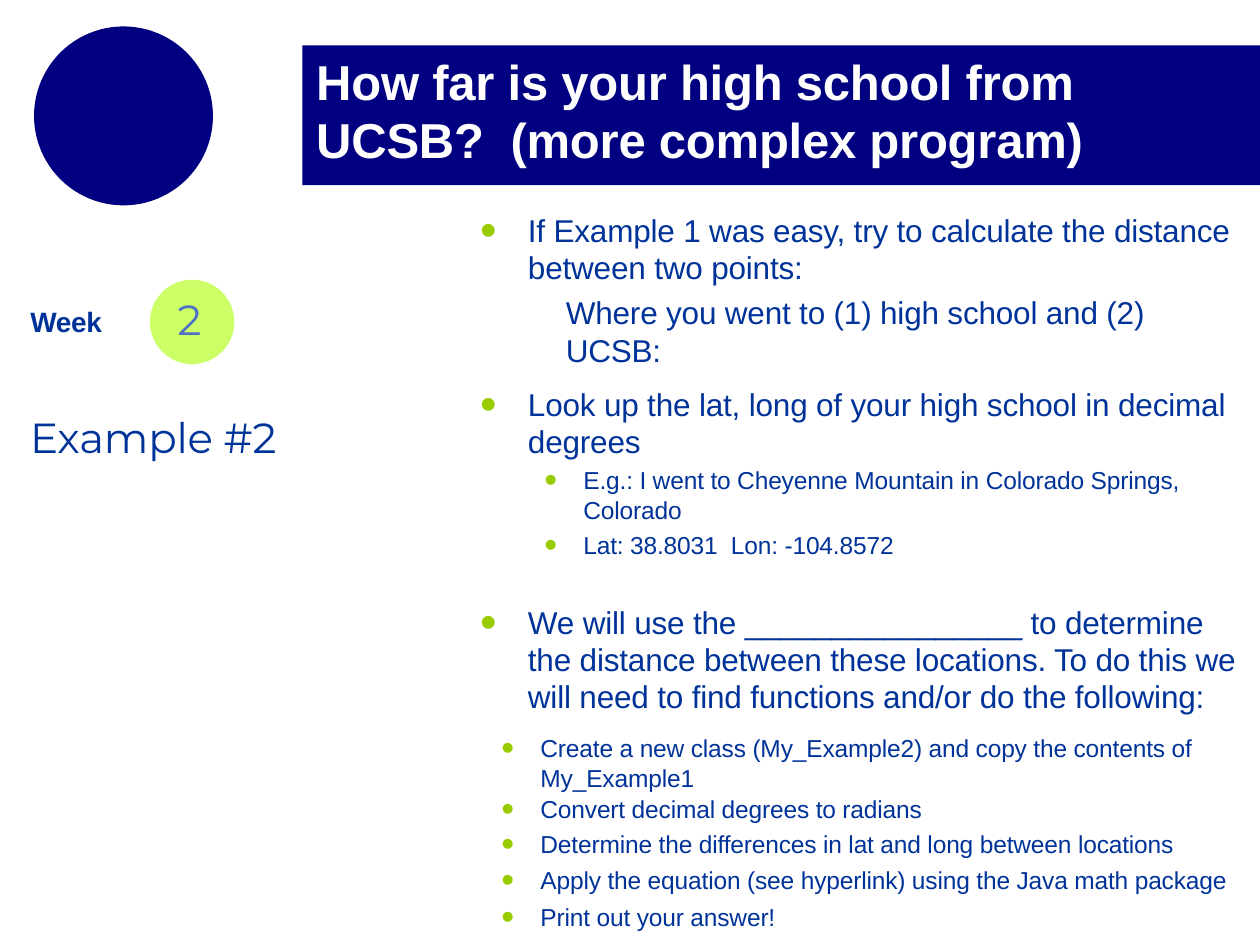
from lxml.etree import SubElement
from pptx import Presentation
from pptx.dml.color import RGBColor
from pptx.enum.shapes import MSO_SHAPE
from pptx.oxml.ns import qn
from pptx.util import Inches, Pt

COLORS = {
    "navy": "000080",
    "text": "003399",
    "lime": "CCFF66",
    "bullet": "99CC00",
    "number": "4E6EC8",
    "white": "FFFFFF",
}


class Deck:
    """Holds the style and the current slide, and draws each kind of element."""

    def __init__(self):
        self.prs = Presentation()
        self.prs.slide_width, self.prs.slide_height = Inches(10), Inches(7.5)
        self.s = self.prs.slides.add_slide(self.prs.slide_layouts[6])

    def shape(self, kind, x, y, w, h, color):
        sp = self.s.shapes.add_shape(kind, Inches(x), Inches(y), Inches(w), Inches(h))
        sp.shadow.inherit = False
        sp.fill.solid()
        sp.fill.fore_color.rgb = RGBColor.from_string(COLORS[color])
        sp.line.fill.background()

    def box(self, x, y, w, h, top=0.01):
        sp = self.s.shapes.add_textbox(Inches(x), Inches(y), Inches(w), Inches(h))
        tf = sp.text_frame
        tf.word_wrap = True
        tf.margin_left = tf.margin_right = tf.margin_bottom = 0
        tf.margin_top = Inches(top)
        return tf

    def style(self, p, size, spacing=None, color="text", bold=False, font="Arial"):
        if spacing:
            p.line_spacing = Pt(spacing)
        for r in p.runs:
            r.font.size, r.font.bold, r.font.name = Pt(size), bold, font
            r.font.color.rgb = RGBColor.from_string(COLORS[color])
            r._r.get_or_add_rPr().set("spc", "-10")

    def label(self, x, y, w, h, text, size, top=0.01, **style):
        tf = self.box(x, y, w, h, top)
        tf.text = text
        self.style(tf.paragraphs[0], size, **style)

    def bullet(self, p, indent):
        pPr = p._p.get_or_add_pPr()
        pPr.set("indent", str(Inches(indent)))
        color = SubElement(pPr, qn("a:buClr"))
        SubElement(color, qn("a:srgbClr"), val=COLORS["bullet"])
        SubElement(pPr, qn("a:buSzPct"), val="150000")
        SubElement(pPr, qn("a:buFont"), typeface="Arial")
        SubElement(pPr, qn("a:buChar"), char="•")

    def paragraphs(self, x, y, w, h, items, top=0.03):
        tf = self.box(x, y, w, h, top)
        for i, (text, size, left, indent, before, spacing) in enumerate(items):
            p = tf.add_paragraph() if i else tf.paragraphs[0]
            p.text = text
            p._p.get_or_add_pPr().set("marL", str(Inches(left)))
            if indent:
                self.bullet(p, indent)
            if before:
                p.space_before = Pt(before)
            self.style(p, size, spacing)


def main():
    deck = Deck()
    deck.shape(MSO_SHAPE.OVAL, 0.27, 0.21, 1.42, 1.42, "navy")
    deck.label(0.24, 2.41, 0.65, 0.29, "Week", 16, bold=True)
    deck.shape(MSO_SHAPE.OVAL, 1.19, 2.22, 0.67, 0.67, "lime")
    deck.label(1.41, 2.32, 0.25, 0.43, "2", 24, color="number", font="Montserrat")
    deck.shape(MSO_SHAPE.RECTANGLE, 2.4, 0.36, 7.6, 1.11, "navy")
    deck.label(2.51, 0.38, 6.39, 0.96,
               "How far is your high school from UCSB?  (more complex program)",
               28, top=0.03, spacing=33.3, color="white", bold=True)
    deck.paragraphs(3.8, 1.65, 6.05, 1.28, [
        ("If Example 1 was easy, try to calculate the distance  between two points:",
         18, 0.39, -0.38, 0, 21.3),
        ("Where you went to (1) high school and (2) UCSB:", 18, 0.69, 0, 3.8, None),
    ])
    answer_blank = "_" * 16
    deck.paragraphs(3.8, 3.03, 6.09, 2.68, [
        ("Look up the lat, long of your high school in decimal  degrees",
         18, 0.39, -0.38, 0, 21.3),
        ("E.g.: I went to Cheyenne Mountain in Colorado Springs, Colorado",
         14, 0.83, -0.31, 3.1, None),
        ("Lat: 38.8031  Lon: -104.8572", 14, 0.83, -0.31, 3.2, None),
        (f"We will use the {answer_blank} to determine  the distance between these "
         "locations. To do this we  will need to find functions and/or do the following:",
         18, 0.39, -0.38, 25.5, 21.2),
    ])
    steps = [
        ("Create a new class (My_Example2) and copy the contents of My_Example1", 0, None),
        ("Convert decimal degrees to radians", 1, None),
        ("Determine the differences in lat and long between locations", 3.2, None),
        ("Apply the equation (see hyperlink) using the Java math package", 4.2, 16.7),
        ("Print out your answer!", 4.2, 16.7),
    ]
    deck.paragraphs(3.96, 5.81, 6.04, 1.59,
                    [(text, 14, 0.33, -0.31, before, spacing)
                     for text, before, spacing in steps], top=0.01)
    deck.label(0.24, 3.26, 2.16, 0.43, "Example #2", 24, font="Montserrat")
    deck.prs.save("out.pptx")


if __name__ == "__main__":
    main()
